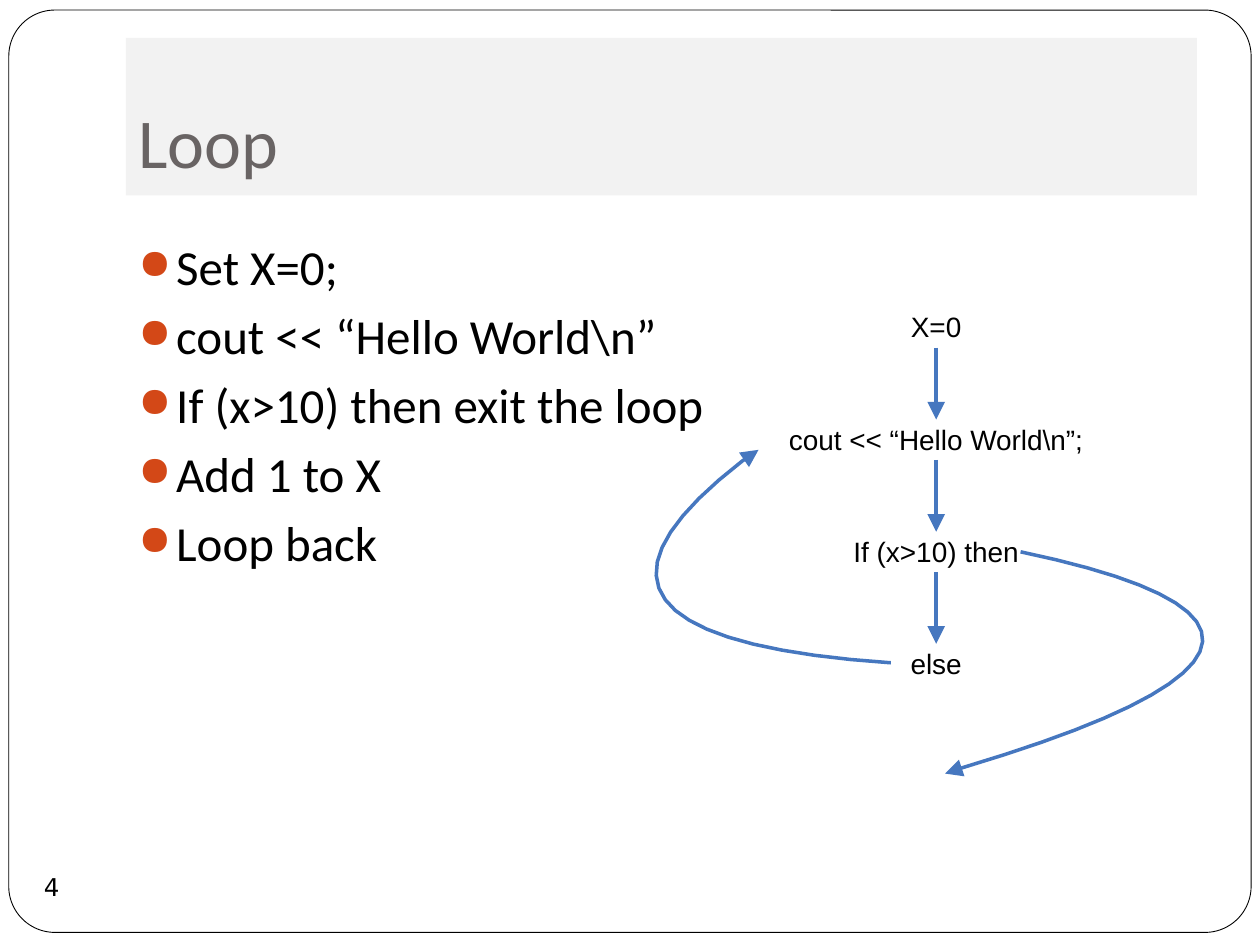
from lxml import etree
from pptx import Presentation
from pptx.dml.color import RGBColor
from pptx.enum import shapes as kinds, text as txt
from pptx.oxml import ns
from pptx.util import Inches, Pt

INK, GREY, BAND, ORANGE, BLUE = "000000", "696464", "F2F2F2", "D34817", "4677BF"
STEPS = ["Set X=0;", "cout << “Hello World\\n”", "If (x>10) then exit the loop",
         "Add 1 to X", "Loop back"]
FLOW_LABELS = ["X=0", "cout << “Hello World\\n”;", "If (x>10) then", "else"]


def color(hex_code):
    return RGBColor.from_string(hex_code)


def add_xml(parent, tag, **attributes):
    return etree.SubElement(parent, ns.qn(tag), **attributes)


def style_text(frame, lines, font, size, hex_code, align=txt.PP_ALIGN.LEFT, **frame_format):
    for name, value in frame_format.items():
        setattr(frame, name, value)
    for index, line in enumerate(lines):
        paragraph = frame.paragraphs[0] if index == 0 else frame.add_paragraph()
        paragraph.alignment = align
        run = paragraph.add_run()
        run.text = line
        for name, value in {"name": font, "size": Pt(size)}.items():
            setattr(run.font, name, value)
        run.font.color.rgb = color(hex_code)


def add_panel(slide, kind, box, fill=None, line=None):
    panel = slide.shapes.add_shape(kind, *map(Inches, box))
    panel.shadow.inherit = False
    if fill:
        panel.fill.solid()
        panel.fill.fore_color.rgb = color(fill)
    else:
        panel.fill.background()
    if line:
        panel.line.color.rgb = color(line)
        panel.line.width = Pt(0.5)
    else:
        panel.line.fill.background()
    return panel


def add_frame(slide, box):
    frame = add_panel(slide, kinds.MSO_SHAPE.ROUNDED_RECTANGLE, box, "FFFFFF", INK)
    frame.adjustments[0] = 0.05


def add_title(slide, box):
    title = add_panel(slide, kinds.MSO_SHAPE.RECTANGLE, box, BAND)
    style_text(title.text_frame, ["Loop"], "Calibri", 40, GREY,
               vertical_anchor=txt.MSO_ANCHOR.BOTTOM, margin_bottom=Inches(0.1))


def add_page_number(slide, box):
    badge = add_panel(slide, kinds.MSO_SHAPE.OVAL, box)
    style_text(badge.text_frame, ["4"], "DejaVu Sans", 14, INK, txt.PP_ALIGN.CENTER,
               vertical_anchor=txt.MSO_ANCHOR.MIDDLE, word_wrap=False,
               margin_left=0, margin_right=0, margin_top=0, margin_bottom=0)


def add_steps(slide, box):
    steps = slide.shapes.add_textbox(*map(Inches, box)).text_frame
    style_text(steps, STEPS, "Calibri", 28, INK, word_wrap=True)
    for paragraph in steps.paragraphs:
        paragraph.space_before = Pt(5.8)
        properties = paragraph._p.get_or_add_pPr()
        properties.set("marL", str(Inches(0.3)))
        properties.set("indent", str(Inches(-0.3)))
        bullet_color = add_xml(properties, "a:buClr")
        add_xml(bullet_color, "a:srgbClr", val=ORANGE)
        add_xml(properties, "a:buSzPct", val="85000")
        add_xml(properties, "a:buChar", char="●")


def style_arrow(arrow):
    arrow.line.color.rgb = color(BLUE)
    arrow.line.width = Pt(2)
    add_xml(arrow.line._get_or_add_ln(), "a:tailEnd", type="triangle", w="lg", len="lg")


def add_curve(slide, start, control, end, tip, segments):
    """Draw a quadratic curve that runs on straight to the tip of its arrowhead."""
    points = []
    for index in range(segments + 1):
        t = index / segments
        points.append([Inches((1 - t) ** 2 * a + 2 * t * (1 - t) * b + t ** 2 * c)
                       for a, b, c in zip(start, control, end)])
    points.append([Inches(value) for value in tip])
    builder = slide.shapes.build_freeform(*points[0])
    builder.add_line_segments(points[1:], close=False)
    curve = builder.convert_to_shape()
    curve.shadow.inherit = False
    curve.fill.background()
    style_arrow(curve)


def add_flow(slide, box):
    left, top, width, height = box
    center, pitch, label_width = left + 2.22, 0.89, 2.6

    for row, label in enumerate(FLOW_LABELS):
        y = top + row * pitch
        step = slide.shapes.add_textbox(Inches(center - label_width / 2), Inches(y),
                                        Inches(label_width), Inches(0.32))
        style_text(step.text_frame, [label], "Arial", 16, INK, txt.PP_ALIGN.CENTER,
                   word_wrap=True, margin_left=0, margin_right=0,
                   margin_top=0, margin_bottom=0)
        if row < len(FLOW_LABELS) - 1:
            down = slide.shapes.add_connector(
                kinds.MSO_CONNECTOR.STRAIGHT, Inches(center), Inches(y + 0.3),
                Inches(center), Inches(y + 0.87))
            style_arrow(down)
            add_xml(down._element.spPr, "a:effectLst")

    def at(x, y):
        return left + x, top + y

    add_curve(slide, at(2.89, 1.92), at(5.99, 2.57), at(2.44, 3.63), at(2.29, height), 21)
    add_curve(slide, at(1.86, 2.8), at(-1.13, 2.6), at(0.68, 1.2), at(0.81, 1.11), 18)


def main():
    deck = Presentation()
    deck.slide_width, deck.slide_height = Inches(10), Inches(7.5)
    slide = deck.slides.add_slide(deck.slide_layouts[6])
    add_frame(slide, (0.07, 0.08, 9.86, 7.32))
    add_title(slide, (1, 0.3, 8.5, 1.25))
    add_page_number(slide, (0.16, 6.79, 0.5, 0.5))
    add_steps(slide, (1, 1.83, 4.75, 4.75))
    add_flow(slide, (5.21, 2.46, 4.34, 3.68))
    deck.save("out.pptx")


if __name__ == "__main__":
    main()
